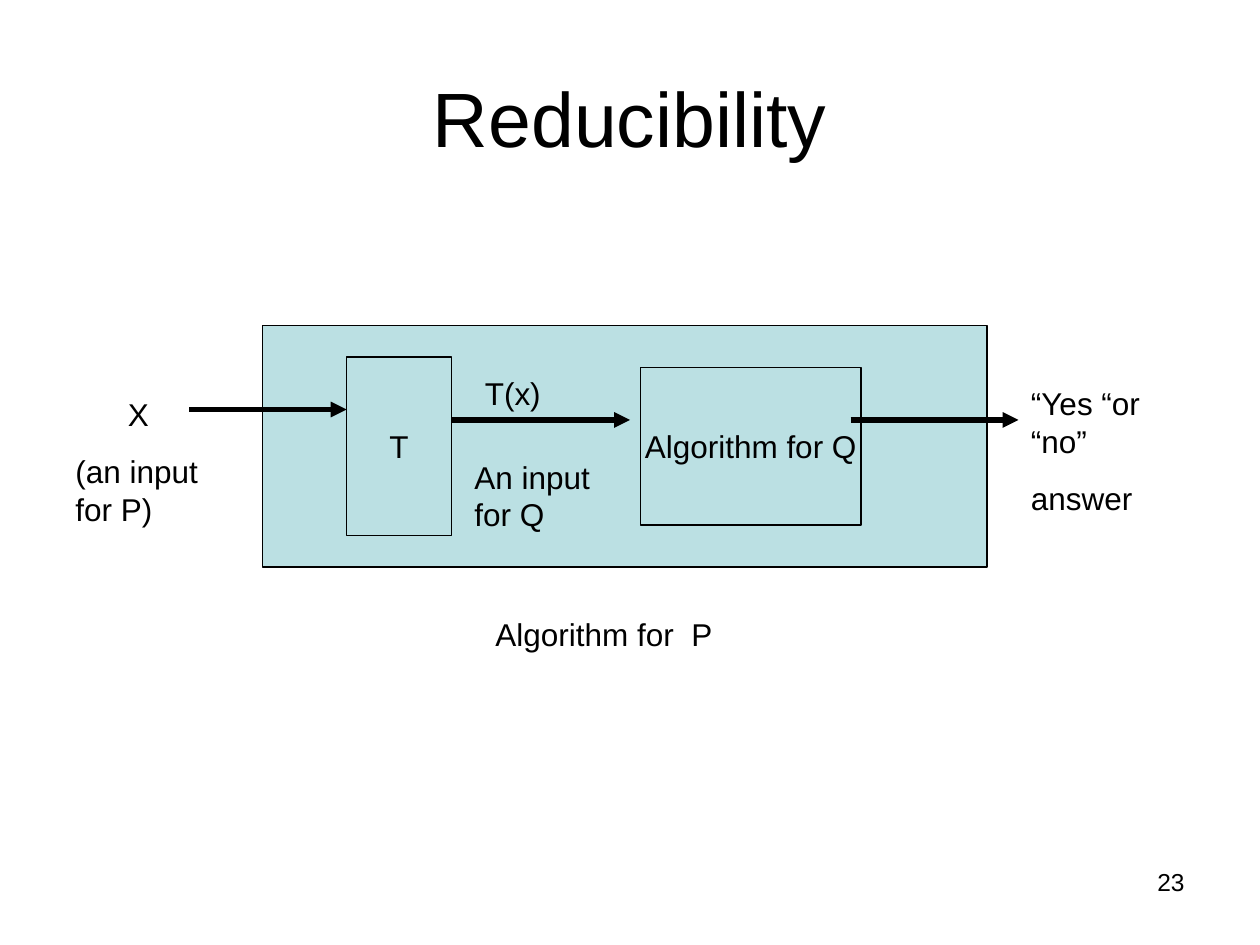
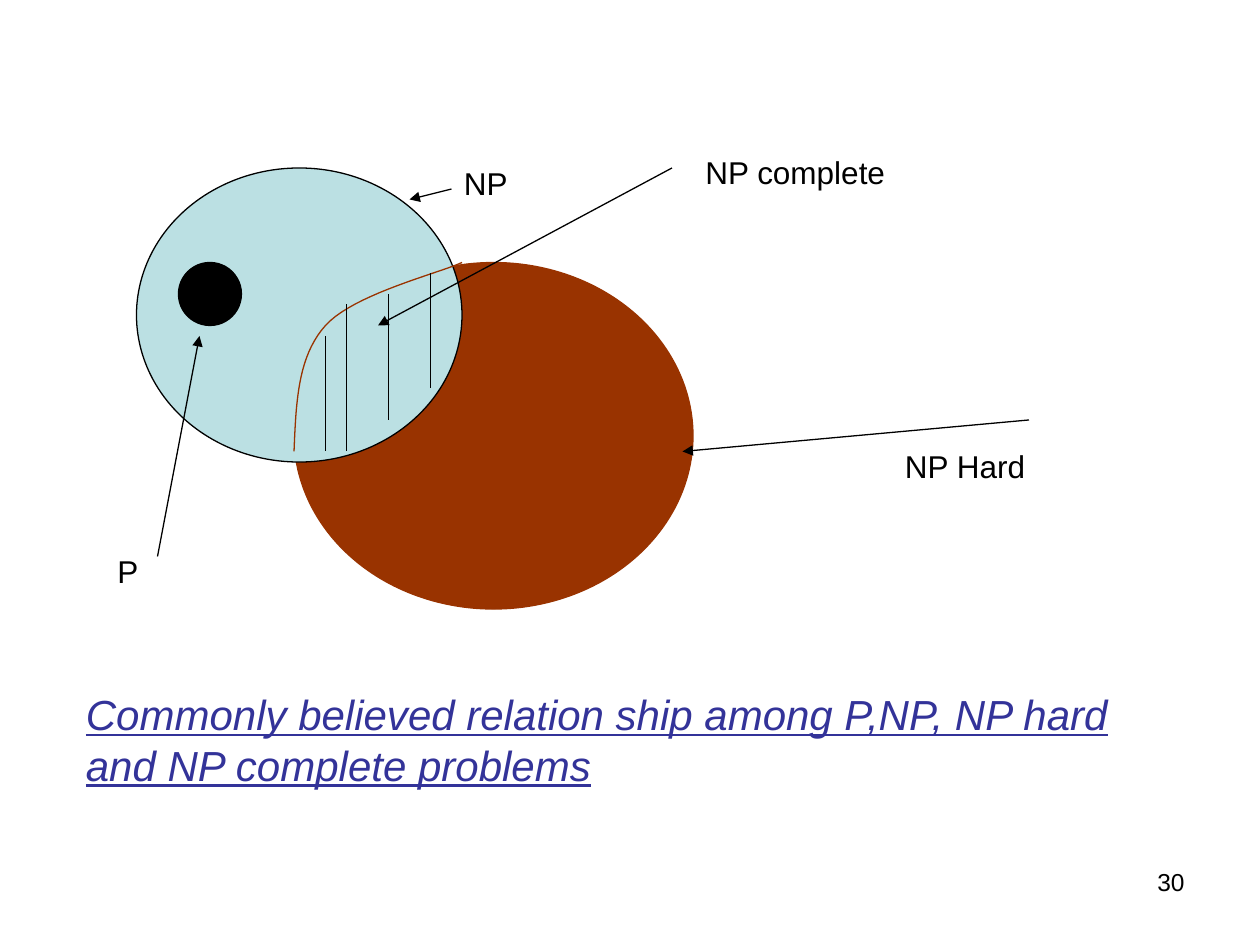
"""Build two slides on reducibility and the P / NP classes."""
from typing import NamedTuple

from lxml.etree import SubElement
from pptx import Presentation
from pptx.dml.color import RGBColor
from pptx.enum.shapes import MSO_CONNECTOR, MSO_SHAPE
from pptx.enum.text import MSO_ANCHOR, PP_ALIGN
from pptx.oxml.ns import qn
from pptx.slide import Slide
from pptx.text.text import _Paragraph
from pptx.util import Inches, Pt

PX = Inches(1) // 120
FONT = "Arial"
BLACK = RGBColor(0x00, 0x00, 0x00)
PALE_BLUE = RGBColor(0xBB, 0xE0, 0xE3)
RUST = RGBColor(0x99, 0x33, 0x00)
INDIGO = RGBColor(0x33, 0x33, 0x99)
THIN = 0.75
THICK = 3
TITLE_ONLY = 5
BLANK = 6


class Box(NamedTuple):
    left: int
    top: int
    width: int
    height: int

    def emu(self) -> tuple[int, ...]:
        return tuple(v * PX for v in self)


class Block(NamedTuple):
    box: Box
    fill: RGBColor = PALE_BLUE
    line: RGBColor = BLACK
    text: str = ""


class Label(NamedTuple):
    box: Box
    lines: tuple[str, ...]
    size: int = 18
    color: RGBColor = BLACK
    align: PP_ALIGN = PP_ALIGN.LEFT
    first_indent: int = 0
    emphasis: bool = False


class Line(NamedTuple):
    x1: int
    y1: int
    x2: int
    y2: int


REDUCTION_BLOCKS = (
    Block(Box(250, 310, 690, 230)),
    Block(Box(330, 340, 100, 170), text="T"),
    Block(Box(610, 350, 210, 150), text="Algorithm for Q"),
)
REDUCTION_ARROWS = (
    Line(430, 400, 600, 400),
    Line(180, 390, 330, 390),
    Line(810, 400, 970, 400),
)
REDUCTION_LABELS = (
    Label(Box(60, 370, 180, 139), ("X", "(an input for P)"), first_indent=50),
    Label(Box(450, 350, 110, 48), ("T(x)",)),
    Label(Box(440, 430, 160, 84), ("An input for Q",)),
    Label(Box(970, 360, 140, 139), ("“Yes “or “no”", "answer")),
    Label(Box(220, 580, 680, 320), ("Algorithm for  P",), first_indent=240),
)
CLASS_CIRCLES = (
    Block(Box(280, 250, 380, 330), RUST, RUST),
    Block(Box(130, 160, 310, 280)),
    Block(Box(170, 250, 60, 60), BLACK),
)
HARD_BOUNDARY = (
    ((280, 430), (282, 385), (283, 340), (310, 310)),
    ((310, 310), (337, 280), (419, 260), (440, 250)),
)
HATCHING = (
    Line(370, 280, 370, 400),
    Line(330, 290, 330, 430),
    Line(310, 320, 310, 430),
    Line(410, 260, 410, 370),
)
CLASS_ARROWS = (
    Line(150, 530, 190, 320),
    Line(430, 180, 390, 190),
    Line(640, 160, 360, 310),
    Line(980, 400, 650, 430),
)
CLASS_LABELS = (
    Label(Box(100, 520, 90, 48), ("P",)),
    Label(Box(430, 150, 120, 48), ("NP",)),
    Label(Box(660, 140, 230, 48), ("NP complete",)),
    Label(Box(850, 420, 220, 48), ("NP Hard",)),
    Label(
        Box(70, 650, 1030, 108),
        ("Commonly believed relation ship among P,NP, NP hard and NP complete problems",),
        size=24, color=INDIGO, emphasis=True,
    ),
)


def set_font(p: _Paragraph, size: int, color: RGBColor = BLACK) -> None:
    p.font.name = FONT
    p.font.size = Pt(size)
    p.font.color.rgb = color


def add_title(s: Slide, text: str) -> None:
    sp = s.shapes.title
    sp.left, sp.top, sp.width, sp.height = Box(60, 36, 1080, 150).emu()
    tf = sp.text_frame
    tf.text = text
    tf.vertical_anchor = MSO_ANCHOR.MIDDLE
    p = tf.paragraphs[0]
    p.alignment = PP_ALIGN.CENTER
    set_font(p, 44)


def add_block(s: Slide, block: Block, kind: MSO_SHAPE) -> None:
    sp = s.shapes.add_shape(kind, *block.box.emu())
    sp.shadow.inherit = False
    sp.fill.solid()
    sp.fill.fore_color.rgb = block.fill
    sp.line.color.rgb = block.line
    sp.line.width = Pt(THIN)
    if block.text:
        tf = sp.text_frame
        tf.text = block.text
        tf.word_wrap = False
        tf.vertical_anchor = MSO_ANCHOR.MIDDLE
        p = tf.paragraphs[0]
        p.alignment = PP_ALIGN.CENTER
        set_font(p, 18)


def add_label(s: Slide, label: Label) -> None:
    tf = s.shapes.add_textbox(*label.box.emu()).text_frame
    tf.word_wrap = True
    tf.text = "\n".join(label.lines)
    for p in tf.paragraphs:
        p.alignment = label.align
        p.space_before = Pt(11.2)
        set_font(p, label.size, label.color)
        if label.emphasis:
            p.font.italic = True
            p.font.underline = True
    if label.first_indent:
        pPr = tf.paragraphs[0]._p.get_or_add_pPr()
        pPr.set("marL", str(label.first_indent * PX))


def add_line(s: Slide, line: Line, width: float = THIN, arrow: bool = True) -> None:
    ends = (v * PX for v in line)
    cxn = s.shapes.add_connector(MSO_CONNECTOR.STRAIGHT, *ends)
    cxn.line.color.rgb = BLACK
    cxn.line.width = Pt(width)
    spPr = cxn._element.spPr
    if arrow:
        SubElement(spPr.find(qn("a:ln")), qn("a:tailEnd"), type="triangle")
    SubElement(spPr, qn("a:effectLst"))


def bezier_point(curve: tuple, t: float) -> tuple[float, ...]:
    u = 1 - t
    weights = (u**3, 3 * u * u * t, 3 * u * t * t, t**3)
    return tuple(
        PX * sum(w * v for w, v in zip(weights, axis)) for axis in zip(*curve)
    )


def add_boundary(s: Slide, curves: tuple, steps: int = 20) -> None:
    points = [bezier_point(c, i / steps) for c in curves for i in range(steps + 1)]
    builder = s.shapes.build_freeform(*points[0])
    builder.add_line_segments(points[1:], close=False)
    sp = builder.convert_to_shape()
    sp.shadow.inherit = False
    sp.fill.background()
    sp.line.color.rgb = RUST
    sp.line.width = Pt(THIN)


def add_page_number(s: Slide, number: int) -> None:
    box = Box(860, 820, 280, 62)
    add_label(s, Label(box, (str(number),), size=14, align=PP_ALIGN.RIGHT))


def build_reducibility(prs: Presentation) -> None:
    s = prs.slides.add_slide(prs.slide_layouts[TITLE_ONLY])
    add_title(s, "Reducibility")
    for block in REDUCTION_BLOCKS:
        add_block(s, block, MSO_SHAPE.RECTANGLE)
    for arrow in REDUCTION_ARROWS:
        add_line(s, arrow, THICK)
    for label in REDUCTION_LABELS:
        add_label(s, label)
    add_page_number(s, 23)


def build_classes(prs: Presentation) -> None:
    s = prs.slides.add_slide(prs.slide_layouts[BLANK])
    for circle in CLASS_CIRCLES:
        add_block(s, circle, MSO_SHAPE.OVAL)
    add_boundary(s, HARD_BOUNDARY)
    for stroke in HATCHING:
        add_line(s, stroke, arrow=False)
    for arrow in CLASS_ARROWS:
        add_line(s, arrow)
    for label in CLASS_LABELS:
        add_label(s, label)
    add_page_number(s, 30)


def main() -> None:
    prs = Presentation()
    prs.slide_width = 1200 * PX
    prs.slide_height = 900 * PX
    build_reducibility(prs)
    build_classes(prs)
    prs.save("out.pptx")


if __name__ == "__main__":
    main()
